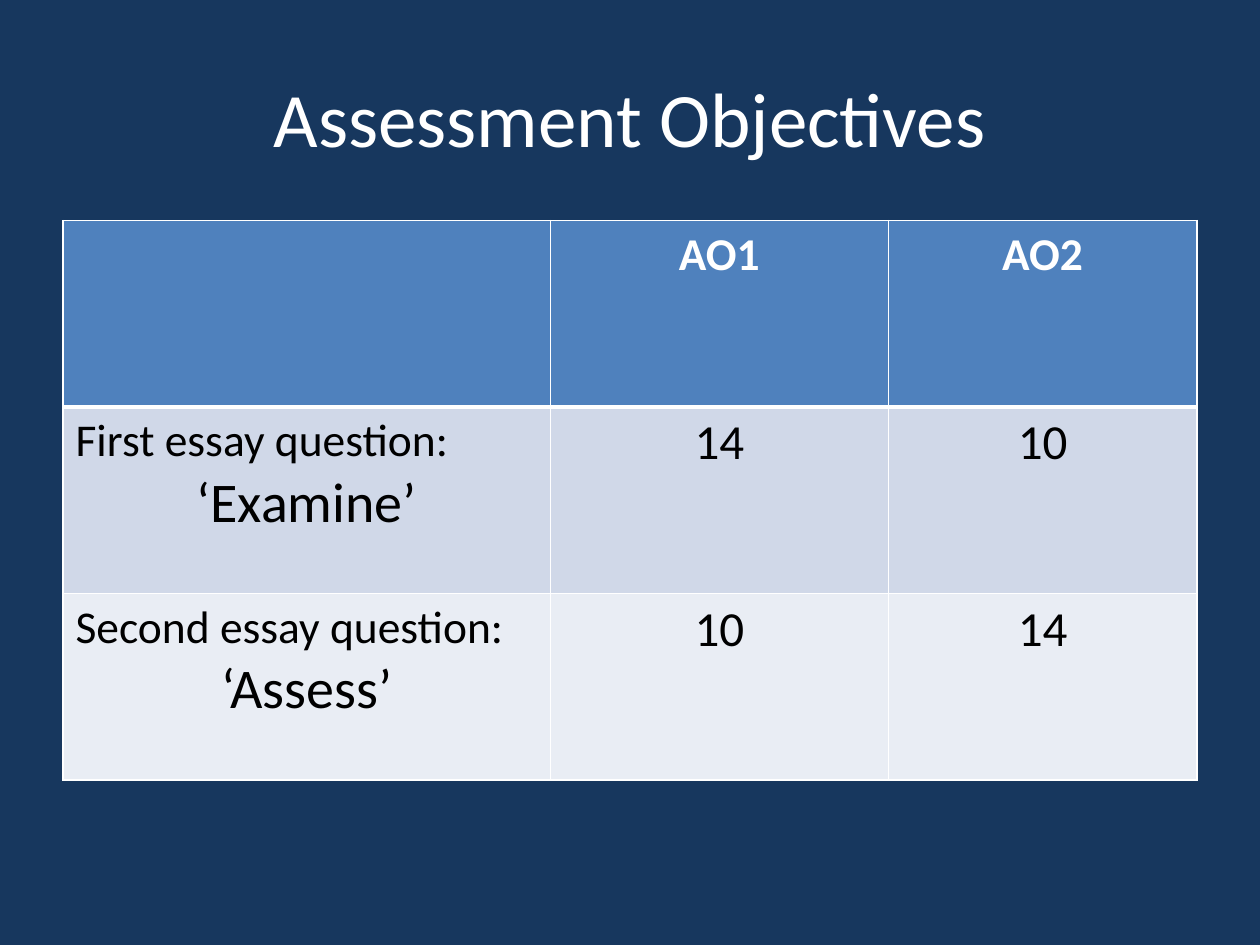
from lxml.etree import SubElement
from pptx import Presentation
from pptx.dml.color import RGBColor as RGB
from pptx.enum.text import MSO_ANCHOR as Anchor, PP_ALIGN as Align
from pptx.oxml.ns import qn
from pptx.util import Pt

FONT = "Calibri"
NAVY = RGB(0x17, 0x37, 0x5E)
BLUE = RGB(0x4F, 0x81, 0xBD)
PALE = RGB(0xD0, 0xD8, 0xE8)
LIGHT = RGB(0xE9, 0xED, 0xF4)
WHITE = RGB(0xFF, 0xFF, 0xFF)
BLACK = RGB(0, 0, 0)

LEFT, WIDTH = Pt(36), Pt(648)
WIDTHS = (278.6, 193, 176.4)
ROW = 106.6
FILLS = (BLUE, PALE, LIGHT)
# Each cell is a list of lines: text, size, alignment.
ROWS = (
    ([], [("AO1", 26, Align.CENTER)], [("AO2", 26, Align.CENTER)]),
    ([("First essay question:", 26, Align.LEFT),
      ("‘Examine’", 32, Align.CENTER)],
     [("14", 28, Align.CENTER)], [("10", 28, Align.CENTER)]),
    ([("Second essay question:", 26, Align.LEFT),
      ("‘Assess’", 32, Align.CENTER)],
     [("10", 28, Align.CENTER)], [("14", 28, Align.CENTER)]),
)


def add_line(para, text, size, align, color, bold=False):
    para.alignment = align
    run = para.add_run()
    run.text = text
    font = run.font
    font.name, font.size, font.bold = FONT, Pt(size), bold
    font.color.rgb = color


def add_title(slide, text):
    title = slide.shapes.title
    title.left, title.top = LEFT, Pt(21.6)
    title.width, title.height = WIDTH, Pt(90)
    frame = title.text_frame
    frame.vertical_anchor = Anchor.MIDDLE
    add_line(frame.paragraphs[0], text, 44, Align.CENTER, WHITE)


def set_border(cell, side, width):
    props = cell._tc.get_or_add_tcPr()
    line = SubElement(props, qn(f"a:ln{side}"), w=str(Pt(width)))
    fill = SubElement(line, qn("a:solidFill"))
    SubElement(fill, qn("a:srgbClr"), val=str(WHITE))


def fill_cell(cell, lines, row):
    # The rule under the header is thicker, and both rows share it.
    for side in "LRTB":
        thick = (row, side) in ((0, "B"), (1, "T"))
        set_border(cell, side, 3 if thick else 1)
    cell.fill.solid()
    cell.fill.fore_color.rgb = FILLS[row]
    head = row == 0
    frame = cell.text_frame
    for i, (text, size, align) in enumerate(lines):
        para = frame.add_paragraph() if i else frame.paragraphs[0]
        add_line(para, text, size, align, WHITE if head else BLACK, head)


def add_grid(slide):
    frame = slide.shapes.add_table(len(ROWS), len(WIDTHS), LEFT, Pt(126),
                                   WIDTH, Pt(ROW * len(ROWS)))
    table = frame.table
    for col, width in zip(table.columns, WIDTHS):
        col.width = Pt(width)
    for r, cells in enumerate(ROWS):
        table.rows[r].height = Pt(ROW)
        for c, lines in enumerate(cells):
            fill_cell(table.cell(r, c), lines, r)


def main():
    deck = Presentation()
    deck.slide_width, deck.slide_height = Pt(720), Pt(540)
    slide = deck.slides.add_slide(deck.slide_layouts[5])
    back = slide.background.fill
    back.solid()
    back.fore_color.rgb = NAVY
    add_title(slide, "Assessment Objectives")
    add_grid(slide)
    deck.save("out.pptx")


if __name__ == "__main__":
    main()
